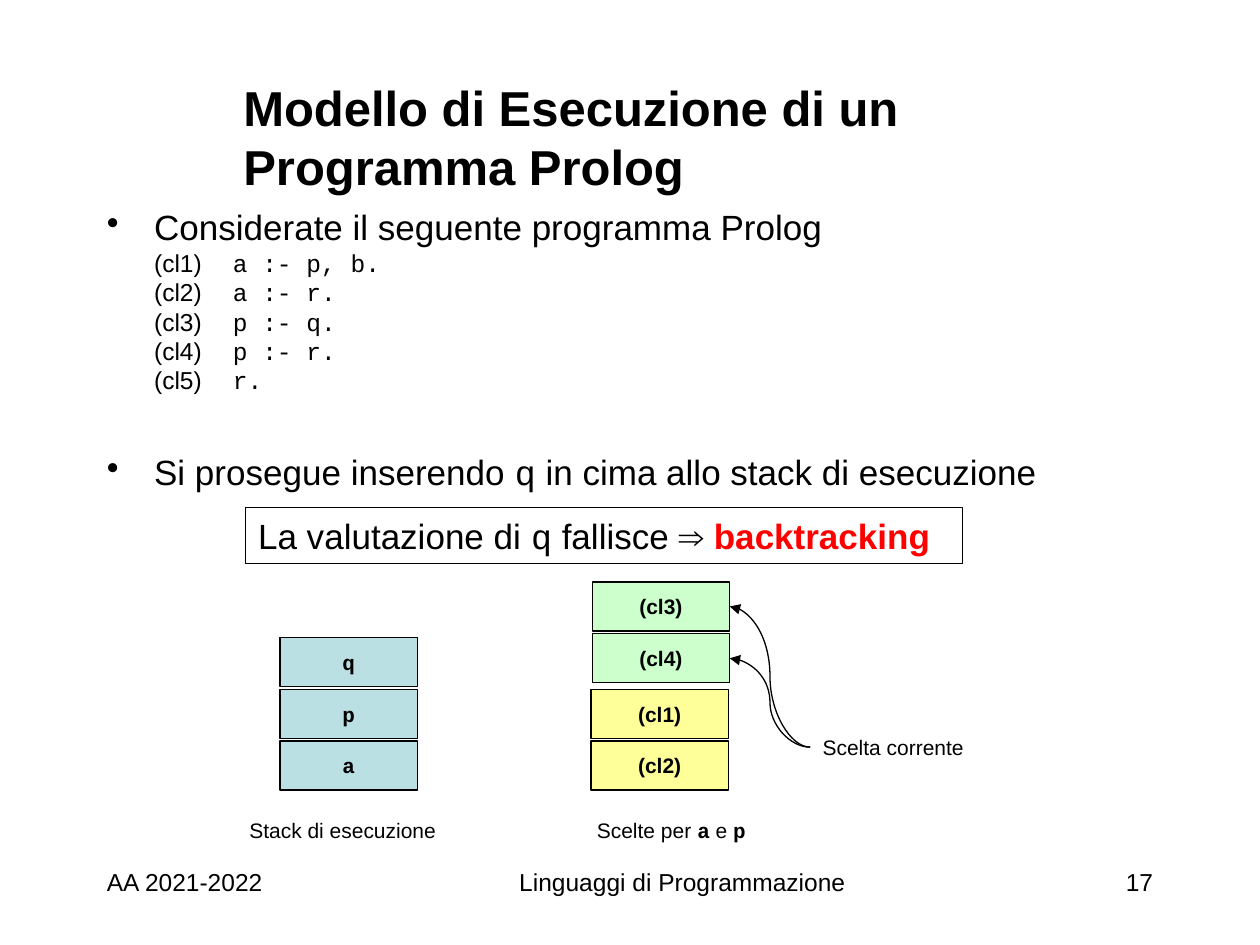
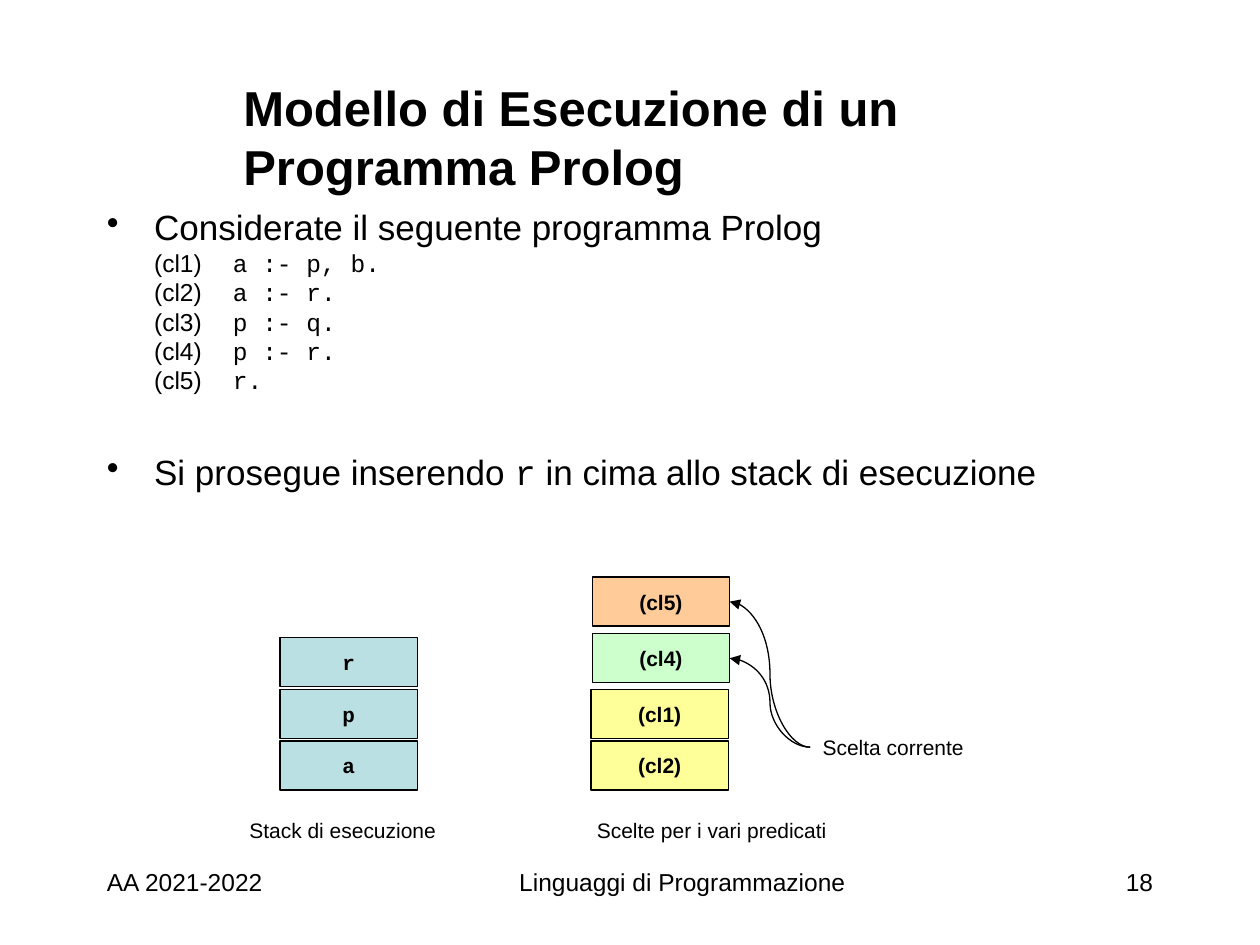
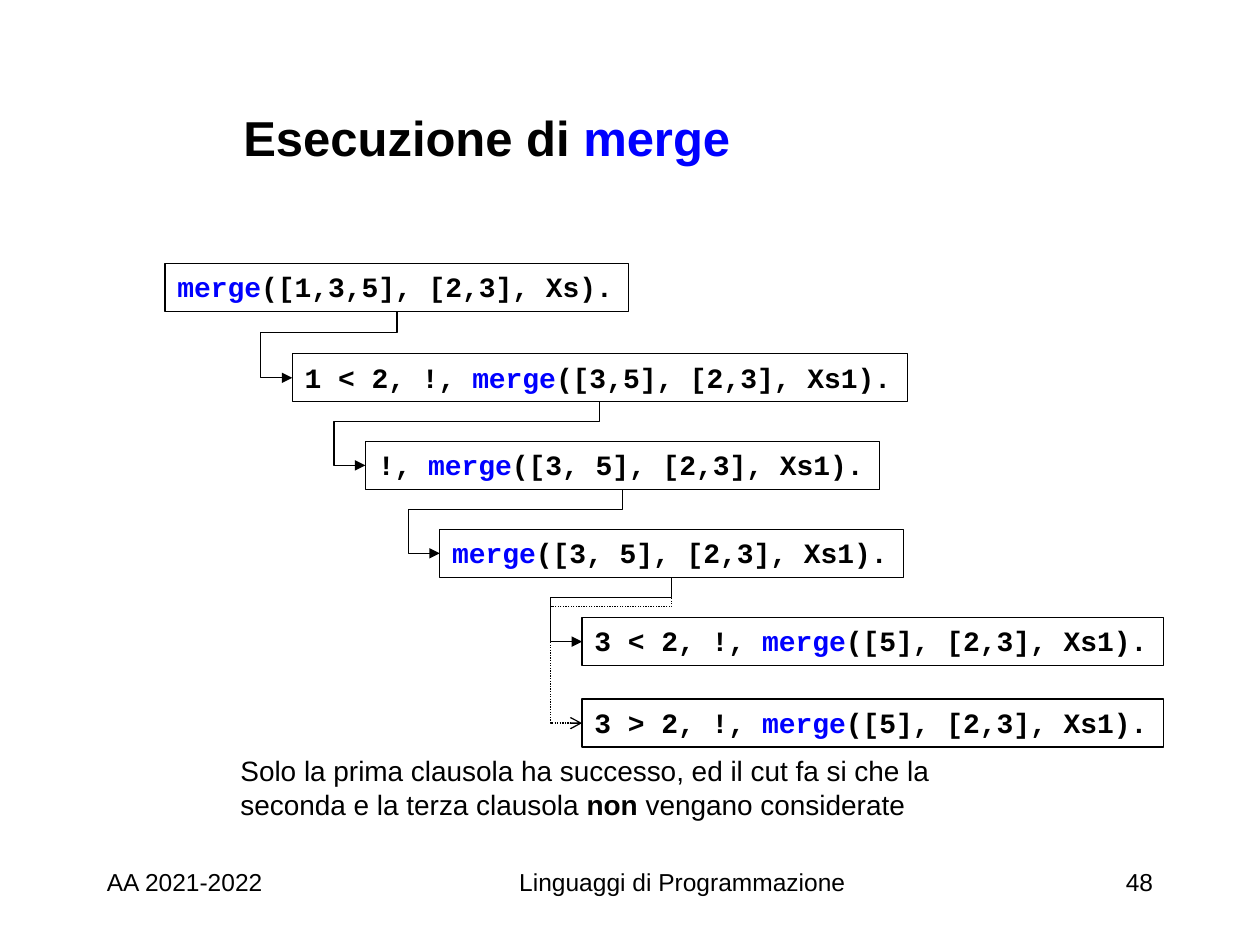
from pptx import Presentation
from pptx.dml.color import RGBColor as RGB
from pptx.enum.dml import MSO_LINE as DASH
from pptx.enum.shapes import MSO_CONNECTOR as LINK, MSO_SHAPE as SHAPE
from pptx.enum.text import MSO_ANCHOR as ANCHOR, PP_ALIGN as ALIGN
from pptx.oxml.ns import qn
from pptx.util import Pt
from lxml.etree import SubElement as sub, Element

INK = {"black": "000000", "red": "FF0000", "blue": "0000FF", "aqua": "BBE0E3",
       "yellow": "FFFF99", "green": "CCFFCC", "peach": "FFCC99"}
SANS, MONO = "Arial", "Courier New"
CODE = {"name": MONO}
BOLD = {"bold": True}
BLUE = {"color": "blue"}


def box(slide, at, paras, size=12, face=SANS, bold=False, fill=None, edge=False,
        align=ALIGN.LEFT, anchor=ANCHOR.TOP, wrap=True):
    """Text box, or edged rectangle; a paragraph is a list of (text, look) runs."""
    at = [Pt(v) for v in at]
    if edge:
        shape = slide.shapes.add_shape(SHAPE.RECTANGLE, *at)
        shape.shadow.inherit = False
        shape.line.color.rgb = RGB.from_string(INK["black"])
        shape.line.width = Pt(0.75)
        if fill:
            shape.fill.solid()
            shape.fill.fore_color.rgb = RGB.from_string(INK[fill])
        else:
            shape.fill.background()
    else:
        shape = slide.shapes.add_textbox(*at)
    frame = shape.text_frame
    frame.word_wrap = wrap
    frame.vertical_anchor = anchor
    for n, runs in enumerate(paras):
        para = frame.add_paragraph() if n else frame.paragraphs[0]
        para.alignment = align
        font = para.font
        font.size, font.name, font.bold = Pt(size), face, bold
        font.color.rgb = RGB.from_string(INK["black"])
        for text, look in runs:
            for i, part in enumerate(text.split("\n")):
                if i:
                    para.add_line_break()
                if not part:
                    continue
                run = para.add_run()
                run.text = part
                for key, val in look.items():
                    if key == "color":
                        run.font.color.rgb = RGB.from_string(INK[val])
                    else:
                        setattr(run.font, key, val)
    return shape


def link(slide, kind, start, end, head="triangle", dash=None):
    """Thin black connector with an arrowhead at its end."""
    line = slide.shapes.add_connector(kind, *[Pt(v) for v in (*start, *end)])
    line.line.color.rgb = RGB.from_string(INK["black"])
    line.line.width = Pt(0.75)
    if dash:
        line.line.dash_style = dash
    props = line._element.spPr
    sub(props.find(qn("a:ln")), qn("a:tailEnd"), type=head)
    sub(props, qn("a:effectLst"))
    return props


deck = Presentation()
deck.slide_width, deck.slide_height = Pt(720), Pt(540)

# Title and footers of every slide
model = [("Modello di Esecuzione di un Programma Prolog", {})]
heads = [(17, model), (18, model),
         (48, [("Esecuzione di ", {}), ("merge", BLUE)])]
slides = []
for num, title in heads:
    slide = deck.slides.add_slide(deck.slide_layouts[6])
    box(slide, (132, 48, 534, 60), [title], 28, bold=True, anchor=ANCHOR.MIDDLE)
    for left, wide, text, align in [
            (54, 180, "AA 2021-2022", ALIGN.LEFT),
            (228, 324, "Linguaggi di Programmazione", ALIGN.CENTER),
            (522, 144, str(num), ALIGN.RIGHT)]:
        box(slide, (left, 492, wide, 36), [[(text, {})]], 14, align=align)
    slides.append(slide)

# Stack slides: goal on top, choices from the top down, caption
rules = ["a :- p, b.", "a :- r.", "p :- q.", "p :- r.", "r."]
BIG = {"size": Pt(20)}
PRED = {"name": MONO, "bold": True}
stacks = [
    ("q", ("(cl3)", "green", 332.6),
     [("Scelte per ", {}), ("a", PRED), (" e ", {}), ("p", PRED)]),
    ("r", ("(cl5)", "peach", 329.8),
     [("Scelte per i vari predicati", {})]),
]
for slide, (goal, first, note) in zip(slides, stacks):
    # Program and next step
    intro = [("Considerate il seguente programma Prolog", BIG)]
    for n, rule in enumerate(rules, 1):
        intro += [(f"\n(cl{n})\t", {}), (rule, CODE)]
    step = [("Si prosegue inserendo ", BIG), (goal, {**BIG, **CODE}),
            (" in cima allo stack di esecuzione", BIG)]
    body = box(slide, (54, 114, 612, 196.5), [intro, step], 14)
    body.text_frame.paragraphs[1].space_before = Pt(32)
    for para in body.text_frame.paragraphs:
        props = para._p.get_or_add_pPr()
        props.set("marL", str(Pt(27)))
        props.set("indent", str(-Pt(27)))
        props.find(qn("a:defRPr")).addprevious(Element(qn("a:buChar"), char="•"))

    # Cells of both stacks
    cells = [(name, "aqua", 160, 423.5 - 29.5 * n, MONO)
             for n, name in enumerate(["a", "p", goal])]
    name, tint, top = first
    cells += [("(cl2)", "yellow", 337.7, 423.5, SANS),
              ("(cl1)", "yellow", 337.7, 394, SANS),
              ("(cl4)", "green", 338.4, 362.2, SANS),
              (name, tint, 338.4, top, SANS)]
    for text, fill, left, y, face in cells:
        box(slide, (left, y, 78.5, 28), [[(text, {})]], face=face, bold=True,
            fill=fill, edge=True, align=ALIGN.CENTER, anchor=ANCHOR.MIDDLE, wrap=False)

    # Captions and arrows to the current choice
    box(slide, (135.4, 463.7, 129, 21.6), [[("Stack di esecuzione", {})]])
    box(slide, (334, 463.7, 163, 21.6), [note])
    box(slide, (463, 416.2, 128, 21.6), [[("Scelta corrente", {})]])
    for y in (top, 362.2):
        link(slide, LINK.CURVE, (463, 427), (417, y + 14))

# Result of the failing goal
box(slides[0], (140.4, 290.2, 409.7, 31.7),
    [[("La valutazione di ", {}), ("q", CODE), (" fallisce ⇒ ", {}),
      ("backtracking", {"bold": True, "color": "red"})]], 20, edge=True)

# Merge slide: goals as left, top, text before and after the call
slide = slides[2]
tall = 27.4
goals = [(94.3, 150.5, "", "([1,3,5], [2,3], Xs)."),
         (167, 202.2, "1 < 2, !, ", "([3,5], [2,3], Xs1)."),
         (208.8, 252.2, "!, ", "([3, 5], [2,3], Xs1)."),
         (251.3, 302.5, "", "([3, 5], [2,3], Xs1)."),
         (332.6, 353, "3 < 2, !, ", "([5], [2,3], Xs1)."),
         (332.6, 399.5, "3 > 2, !, ", "([5], [2,3], Xs1).")]
feet = []
for left, top, pre, post in goals:
    wide = 9.6 * len(pre + "merge" + post) + 15.4
    box(slide, (left, top, wide, tall), [[(pre, {}), ("merge", BLUE), (post, {})]],
        16, MONO, True, edge=True, wrap=False)
    feet.append((left + wide / 2, top + tall))

# Elbows from the foot of one goal to the left side of the next
for src, dst, bend, head, dash in [
        (0, 1, 0.32, "triangle", None), (1, 2, 0.31, "triangle", None),
        (2, 3, 0.31, "triangle", None), (3, 4, 0.32, "triangle", None),
        (3, 5, 0.2, "arrow", DASH.ROUND_DOT)]:
    x, y = feet[src]
    left, mid = goals[dst][0], goals[dst][1] + tall / 2
    run, drop = x - left, mid - y
    cx, cy = (x + left) / 2, (y + mid) / 2
    # The connector is laid down flat, then turned a quarter about its centre
    props = link(slide, LINK.ELBOW, (cx - drop / 2, cy - run / 2),
                 (cx + drop / 2, cy + run / 2), head, dash)
    props.find(qn("a:xfrm")).set("rot", "5400000")
    geom = props.find(qn("a:prstGeom"))
    geom.set("prst", "bentConnector4")
    guides = geom.find(qn("a:avLst"))
    for name, val in (("adj1", bend), ("adj2", 1 + 18 / run)):
        sub(guides, qn("a:gd"), name=name, fmla=f"val {round(val * 100000)}")

box(slide, (130.3, 427, 409.7, 46),
    [[("Solo la prima clausola ha successo, ed il cut fa si che la\n"
       "seconda e la terza clausola ", {}), ("non", BOLD),
      (" vengano considerate", {})]], 16, wrap=False)

deck.save("out.pptx")
